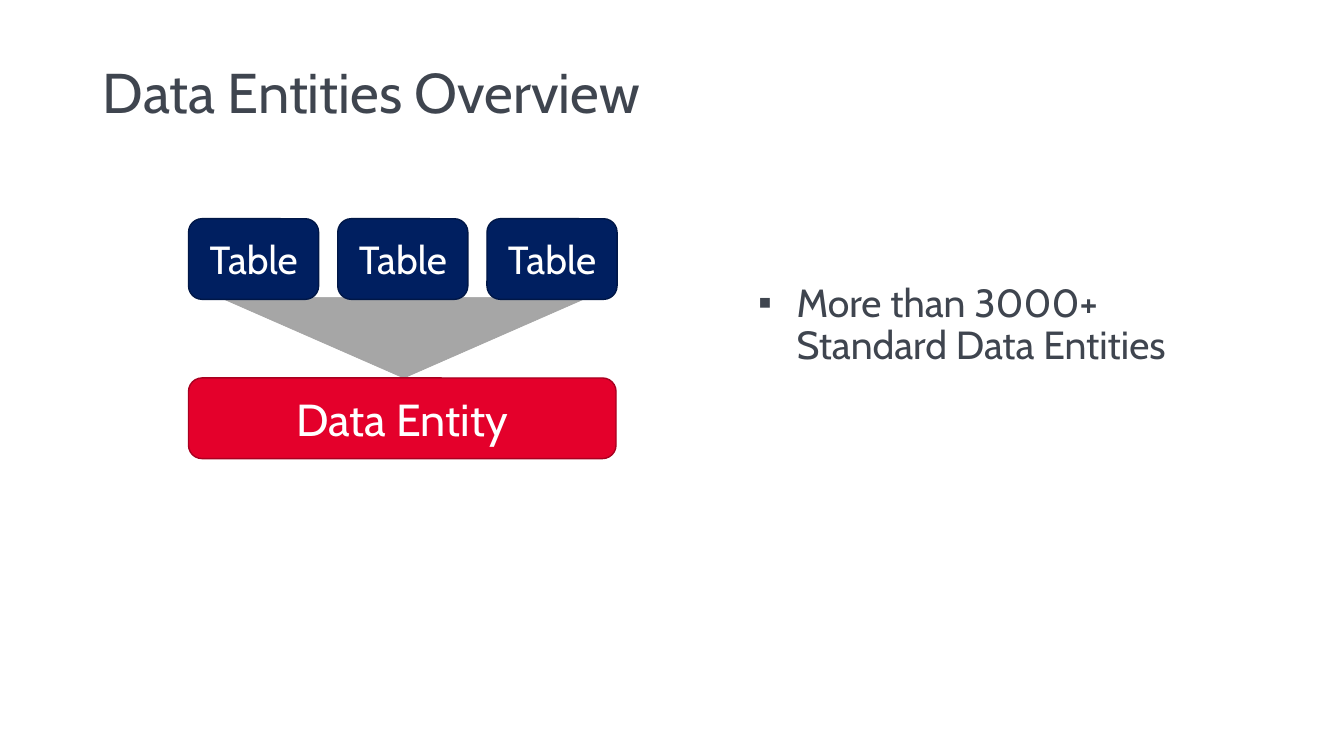
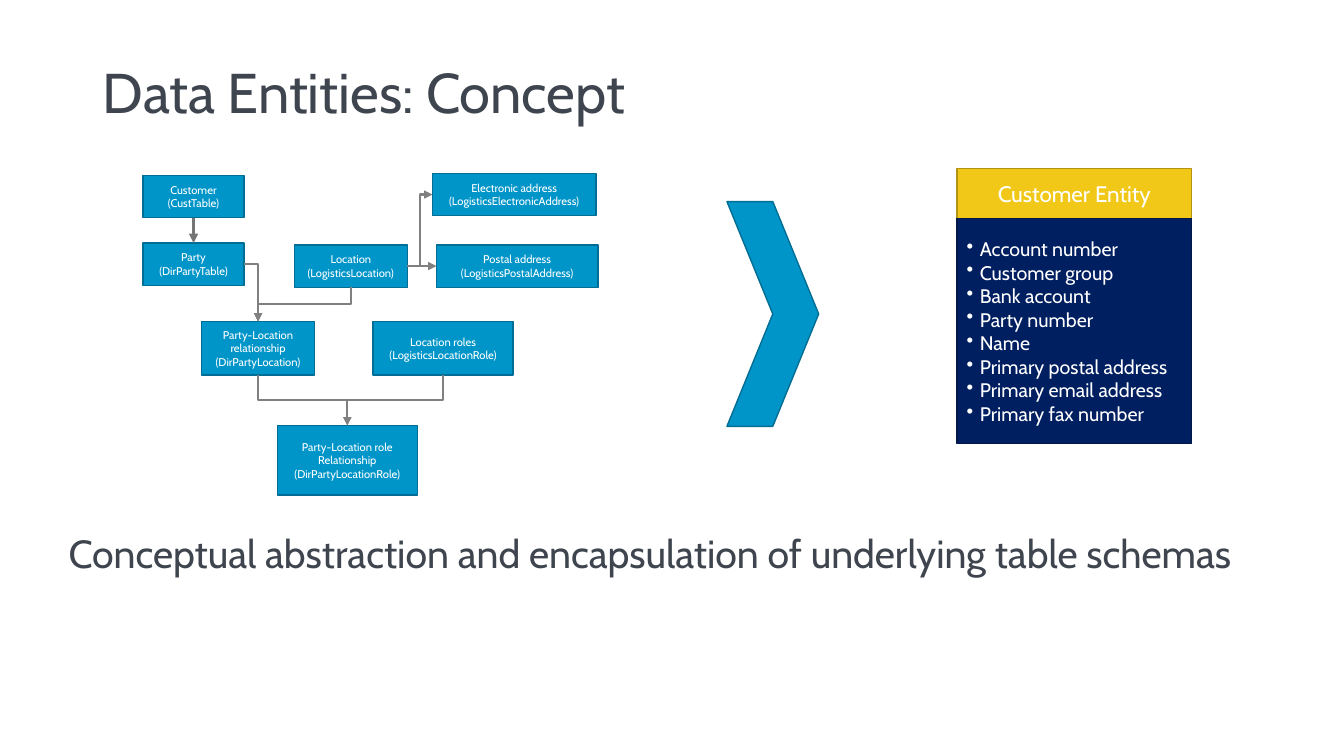
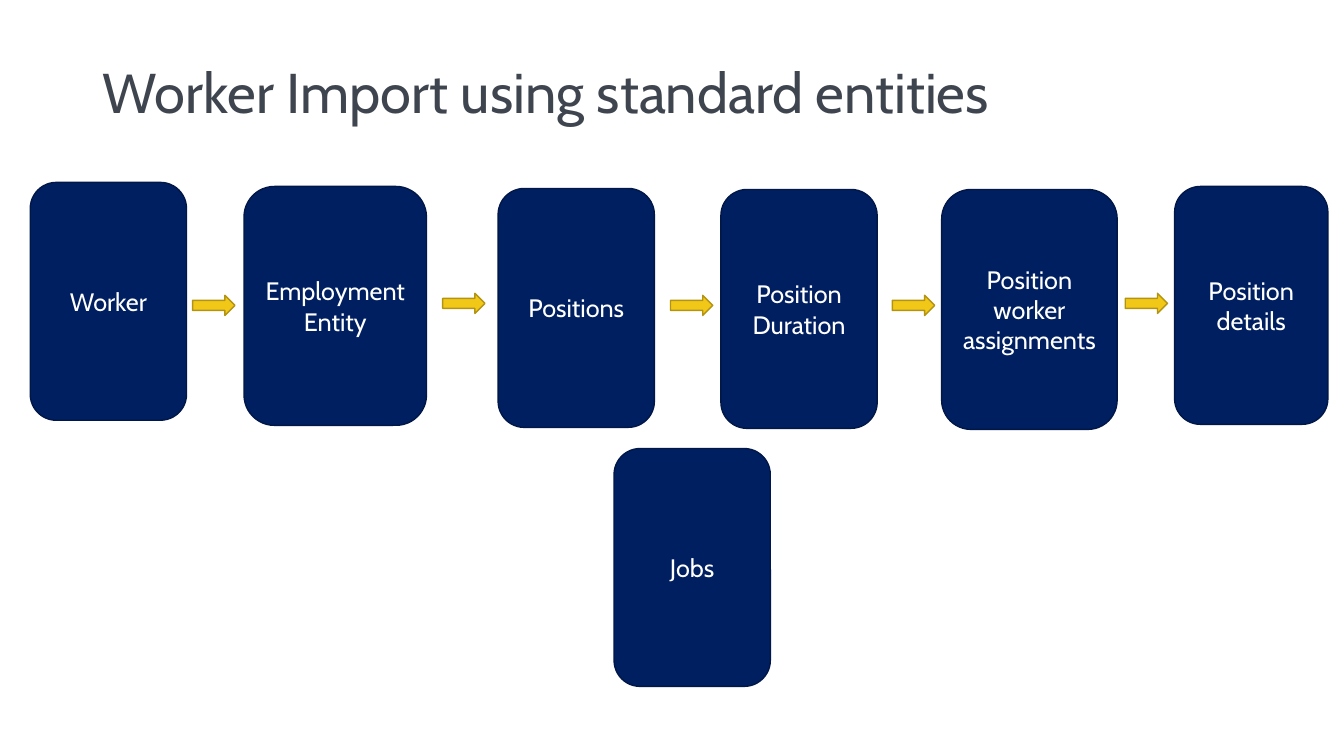
import pptx
import pptx.util
import pptx.dml.color
import pptx.enum.shapes
import pptx.enum.text
import pptx.oxml.ns
from dataclasses import dataclass
from lxml import etree

Inches = pptx.util.Inches
Pt = pptx.util.Pt
qn = pptx.oxml.ns.qn
ShapeKind = pptx.enum.shapes.MSO_SHAPE
ConnectorKind = pptx.enum.shapes.MSO_CONNECTOR
Align = pptx.enum.text.PP_ALIGN
Anchor = pptx.enum.text.MSO_ANCHOR

TOP, LEFT, BOTTOM, RIGHT = range(4)


@dataclass(frozen=True)
class Theme:
    font: str = "Cabin"
    text: str = "3F454F"
    white: str = "FFFFFF"
    # Fill and outline pairs
    navy: tuple = ("001F60", "001747")
    red: tuple = ("E4002B", "A90020")
    blue: tuple = ("0095C8", "006E94")
    gold: tuple = ("F2C818", "B39412")
    grey: tuple = ("A6A6A6", "A5A5A5")
    connector: str = "808080"
    connector_dark: str = "757575"
    # Type sizes
    title_size: int = 40
    entity_size: int = 32
    body_size: int = 28
    step_size: int = 18
    header_size: int = 16
    field_size: int = 14
    table_size: int = 8
    line_spacing: float = 0.9


THEME = Theme()


def color(value):
    return pptx.dml.color.RGBColor.from_string(value)


# Text
def add_run(paragraph, text, size, text_color):
    run = paragraph.add_run()
    run.text = text
    run.font.name = THEME.font
    run.font.size = Pt(size)
    run.font.color.rgb = color(text_color)


def set_bullet(paragraph, character=None, indent=0):
    properties = paragraph._p.get_or_add_pPr()
    properties.set("marL", str(Inches(indent)))
    properties.set("indent", str(-Inches(indent)))
    if character:
        etree.SubElement(properties, qn("a:buChar")).set("char", character)
    else:
        etree.SubElement(properties, qn("a:buNone"))


def write_lines(shape, lines, size, text_color=THEME.white, align=Align.CENTER, bullet=None, indent=0):
    frame = shape.text_frame
    frame.word_wrap = True
    frame.vertical_anchor = Anchor.MIDDLE
    for index, line in enumerate(lines):
        paragraph = frame.add_paragraph() if index else frame.paragraphs[0]
        paragraph.alignment = align
        if bullet:
            set_bullet(paragraph, bullet, indent)
        add_run(paragraph, line, size, text_color)


# Placeholders
def fill_placeholder(placeholder, box, text, size, anchor):
    placeholder.left, placeholder.top, placeholder.width, placeholder.height = map(Inches, box)
    frame = placeholder.text_frame
    frame.word_wrap = True
    frame.auto_size = pptx.enum.text.MSO_AUTO_SIZE.NONE
    frame.vertical_anchor = anchor
    paragraph = frame.paragraphs[0]
    paragraph.alignment = Align.LEFT
    paragraph.line_spacing = THEME.line_spacing
    paragraph.space_before = Pt(0)
    add_run(paragraph, text, size, THEME.text)
    return paragraph


def add_slide(presentation, title, layout_name="Title Only"):
    slide = presentation.slides.add_slide(presentation.slide_layouts.get_by_name(layout_name))
    fill_placeholder(slide.shapes.title, (0.92, 0.4, 11.5, 1.1), title, THEME.title_size, Anchor.MIDDLE)
    return slide


def add_body(slide, box, text, bullet=None, indent=0):
    paragraph = fill_placeholder(slide.placeholders[1], box, text, THEME.body_size, Anchor.TOP)
    paragraph.space_after = Pt(6)
    set_bullet(paragraph, bullet, indent)


# Shapes and connectors
def add_box(slide, kind, box, colors, lines=(), size=THEME.step_size, line_width=1, **text_options):
    shape = slide.shapes.add_shape(kind, *map(Inches, box))
    shape.shadow.inherit = False
    fill, outline = colors
    shape.fill.solid()
    shape.fill.fore_color.rgb = color(fill)
    shape.line.color.rgb = color(outline)
    shape.line.width = Pt(line_width)
    if lines:
        write_lines(shape, lines, size, **text_options)
    return shape


def add_arrow(slide, start, start_side, end, end_side, kind=ConnectorKind.ELBOW,
              line_color=THEME.connector, width=1.5):
    connector = slide.shapes.add_connector(kind, 0, 0, 0, 0)
    connector.begin_connect(start, start_side)
    connector.end_connect(end, end_side)
    connector.line.color.rgb = color(line_color)
    connector.line.width = Pt(width)
    properties = connector._element.spPr
    etree.SubElement(properties.find(qn("a:ln")), qn("a:tailEnd")).set("type", "triangle")
    etree.SubElement(properties, qn("a:effectLst"))
    if kind == ConnectorKind.ELBOW and start_side == BOTTOM:
        turn_downwards(connector)
    elif kind == ConnectorKind.ELBOW and end_side == TOP:
        properties.find(qn("a:prstGeom")).set("prst", "bentConnector2")


def turn_downwards(connector):
    """Turn an elbow a quarter so that it leaves its start vertically."""
    across = connector.end_x - connector.begin_x
    down = connector.end_y - connector.begin_y
    center_x = (connector.begin_x + connector.end_x) // 2
    center_y = (connector.begin_y + connector.end_y) // 2
    connector.left, connector.top = center_x - down // 2, center_y - abs(across) // 2
    connector.width, connector.height = down, abs(across)
    transform = connector._element.spPr.find(qn("a:xfrm"))
    transform.set("rot", str(90 * 60000))
    transform.set("flipH", "0")
    transform.set("flipV", "1" if across > 0 else "0")


# Slides
def build_overview(presentation):
    slide = add_slide(presentation, "Data Entities Overview", "Title and Content")
    add_body(slide, (7.42, 2.76, 4.67, 1.17), "More than 3000+ Standard Data Entities", "▪", 0.38)
    funnel = add_box(slide, ShapeKind.ISOSCELES_TRIANGLE, (2.18, 2.95, 3.65, 0.8), THEME.grey, line_width=0.5)
    funnel.rotation = 180
    for column in range(3):
        add_box(slide, ShapeKind.ROUNDED_RECTANGLE, (1.87 + 1.48 * column, 2.17, 1.29, 0.8),
                THEME.navy, ["Table"], THEME.body_size)
    add_box(slide, ShapeKind.ROUNDED_RECTANGLE, (1.87, 3.75, 4.24, 0.8),
            THEME.red, ["Data Entity"], THEME.entity_size)


def build_concept(presentation):
    slide = add_slide(presentation, "Data Entities: Concept", "Title and Content")
    add_body(slide, (0.58, 5.25, 12.33, 1.17),
             "Conceptual abstraction and encapsulation of underlying table schemas")

    # Entity card
    add_box(slide, ShapeKind.RECTANGLE, (9.49, 1.67, 2.33, 0.5), THEME.gold,
            ["Customer Entity"], THEME.header_size)
    fields = ["Account number", "Customer group", "Bank account", "Party number", "Name",
              "Primary postal address", "Primary email address", "Primary fax number"]
    add_box(slide, ShapeKind.RECTANGLE, (9.49, 2.17, 2.33, 2.23), THEME.navy, fields,
            THEME.field_size, align=Align.LEFT, bullet="•", indent=0.13)
    add_box(slide, ShapeKind.CHEVRON, (7.21, 2, 0.91, 2.23), THEME.blue)

    # Table schema
    tables = {
        "customer": ((1.42, 1.74, 1, 0.42), ["Customer", "(CustTable)"]),
        "party": ((1.42, 2.41, 1, 0.42), ["Party", "(DirPartyTable)"]),
        "location": ((2.92, 2.43, 1.12, 0.42), ["Location", "(LogisticsLocation)"]),
        "relationship": ((2, 3.19, 1.12, 0.53), ["Party-Location relationship", "(DirPartyLocation)"]),
        "electronic": ((4.29, 1.72, 1.62, 0.42), ["Electronic address", "(LogisticsElectronicAddress)"]),
        "postal": ((4.33, 2.43, 1.6, 0.42), ["Postal address", "(LogisticsPostalAddress)"]),
        "roles": ((3.7, 3.19, 1.39, 0.53), ["Location roles", "(LogisticsLocationRole)"]),
        "role_relationship": ((2.75, 4.22, 1.39, 0.69),
                              ["Party-Location role", "Relationship", "(DirPartyLocationRole)"]),
    }
    shapes = {name: add_box(slide, ShapeKind.RECTANGLE, box, THEME.blue, lines, THEME.table_size)
              for name, (box, lines) in tables.items()}

    # Relations between tables
    add_arrow(slide, shapes["customer"], BOTTOM, shapes["party"], TOP,
              ConnectorKind.STRAIGHT, THEME.connector_dark, 2.25)
    add_arrow(slide, shapes["location"], RIGHT, shapes["postal"], LEFT, ConnectorKind.STRAIGHT)
    for start, start_side, end, end_side in [
        ("party", RIGHT, "relationship", TOP),
        ("location", BOTTOM, "relationship", TOP),
        ("location", RIGHT, "electronic", LEFT),
        ("relationship", BOTTOM, "role_relationship", TOP),
        ("roles", BOTTOM, "role_relationship", TOP),
    ]:
        add_arrow(slide, shapes[start], start_side, shapes[end], end_side)


def build_worker_import(presentation):
    slide = add_slide(presentation, "Worker Import using standard entities")
    steps = [
        ("Worker", (0.3, 1.81, 1.55, 2.36)),
        ("Employment Entity", (2.42, 1.85, 1.81, 2.37)),
        ("Positions", (4.94, 1.87, 1.55, 2.37)),
        ("Position Duration", (7.15, 1.88, 1.55, 2.37)),
        ("Position worker assignments", (9.34, 1.88, 1.74, 2.38)),
        ("Position details", (11.65, 1.85, 1.52, 2.36)),
        ("Jobs", (6.09, 4.45, 1.55, 2.36)),
    ]
    for label, box in steps:
        add_box(slide, ShapeKind.FLOWCHART_ALTERNATE_PROCESS, box, THEME.navy, [label])
    for left, top in [(1.91, 2.93), (4.39, 2.91), (6.65, 2.93), (8.85, 2.93), (11.16, 2.91)]:
        add_box(slide, ShapeKind.RIGHT_ARROW, (left, top, 0.42, 0.2), THEME.gold)


def main():
    presentation = pptx.Presentation()
    presentation.slide_width = Inches(13.33)
    presentation.slide_height = Inches(7.5)
    build_overview(presentation)
    build_concept(presentation)
    build_worker_import(presentation)
    presentation.save("out.pptx")


if __name__ == "__main__":
    main()
